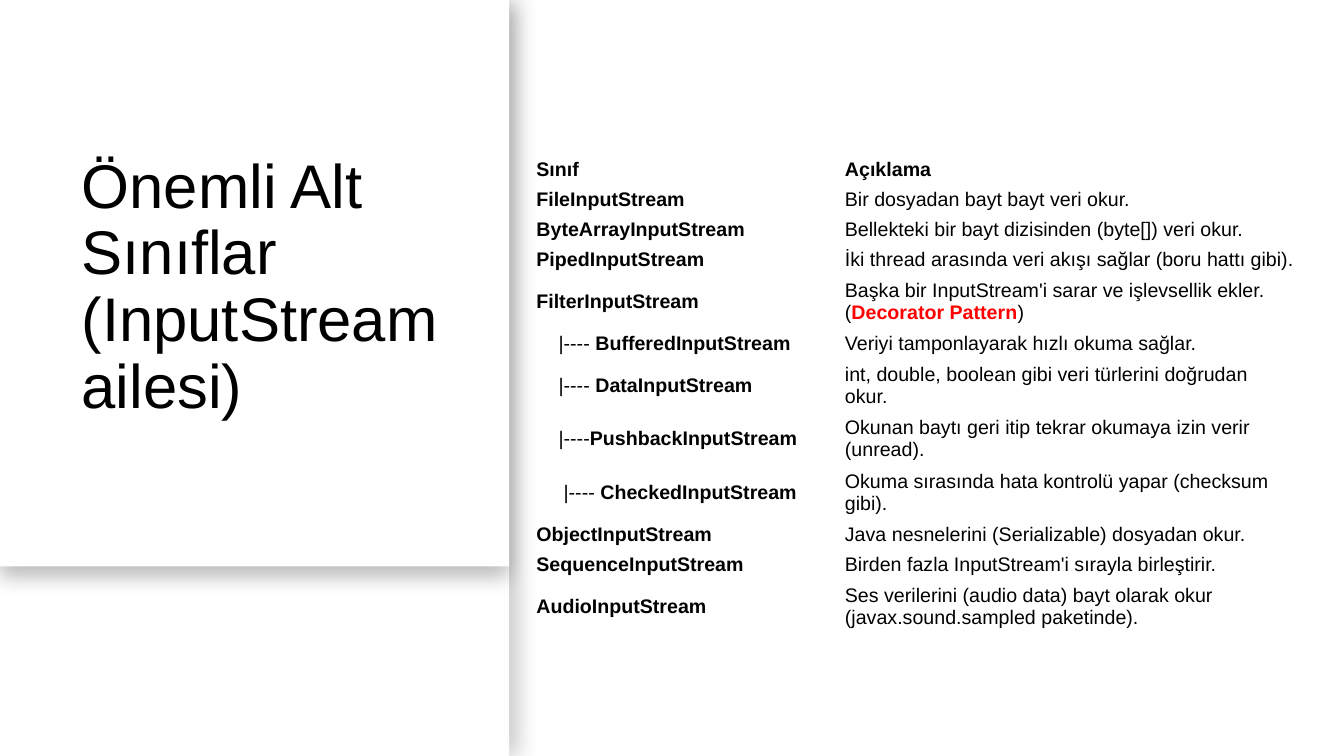
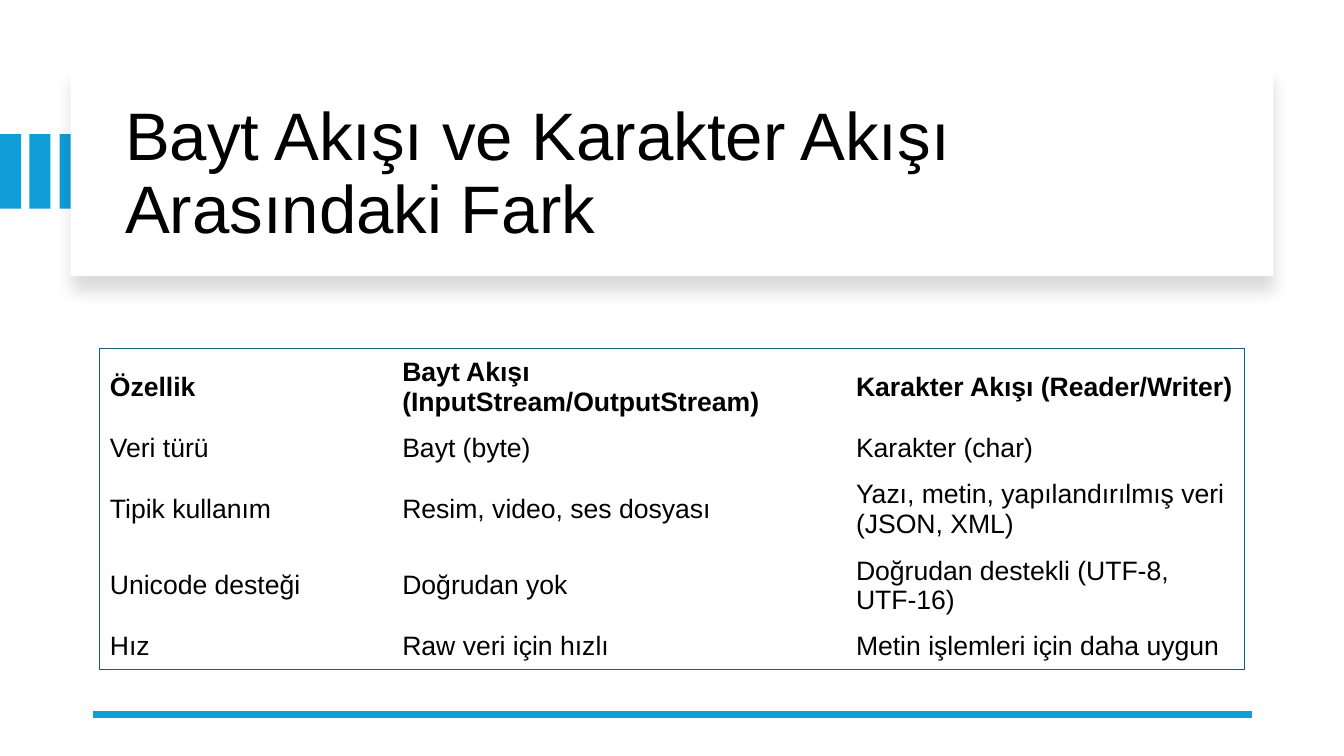
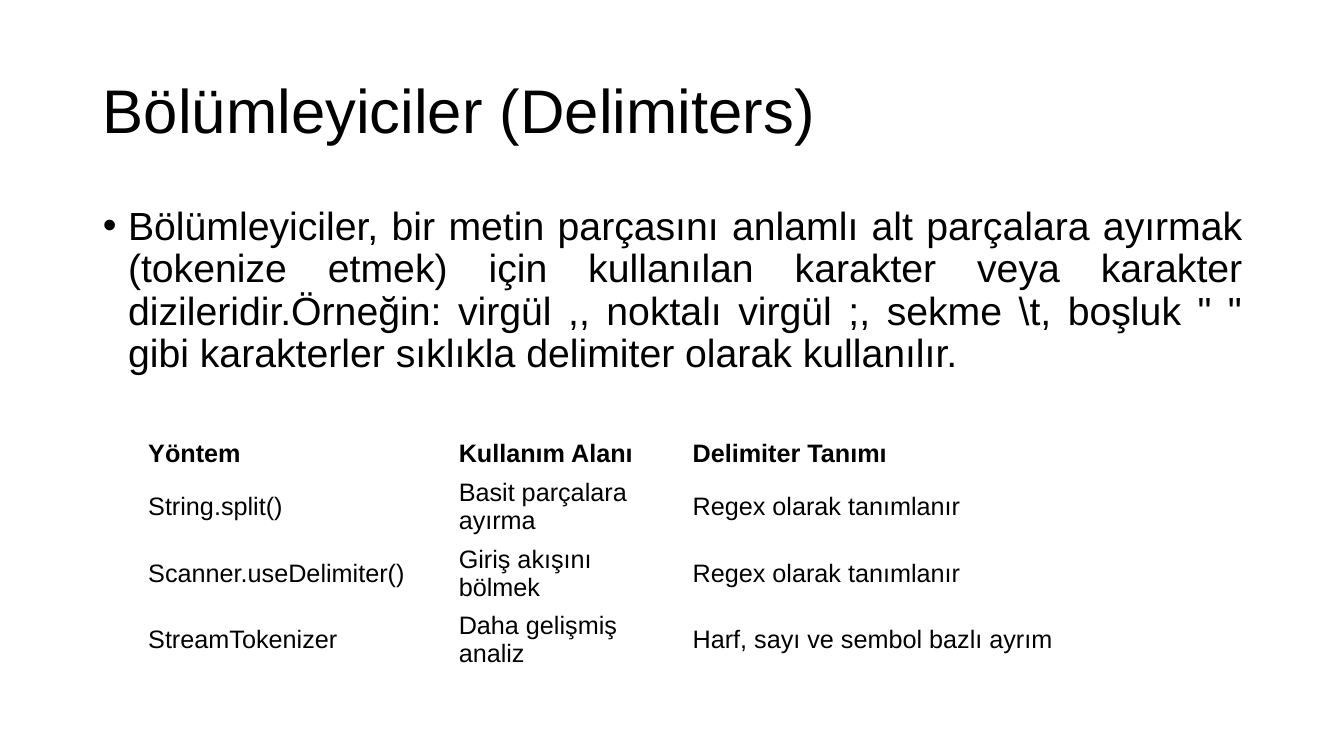
from typing import NamedTuple

from lxml.etree import SubElement
from pptx import Presentation
from pptx.dml.color import RGBColor
from pptx.enum.shapes import MSO_CONNECTOR, MSO_SHAPE
from pptx.enum.text import MSO_ANCHOR, MSO_AUTO_SIZE, PP_ALIGN
from pptx.oxml.ns import qn
from pptx.util import Pt

# Shared style
EMU_PER_PX = 9144  # 100 px to the inch
FONT = "Arial"
BLACK, WHITE, RED = "000000", "FFFFFF", "FF0000"
ACCENT, BORDER = "0F9ED5", "156082"
NO_STYLE_NO_GRID = "{2D5ABB26-0587-4C30-8999-92F81FD0307C}"
TITLE_ONLY, TITLE_AND_BODY = 5, 1


def px(length):
    return int(length * EMU_PER_PX)


def color(hex_value):
    return RGBColor.from_string(hex_value)


class Piece(NamedTuple):
    text: str
    bold: bool = False
    color: str = BLACK


class Cell(NamedTuple):
    pieces: tuple
    indent: int = 0


class Deck:
    """Holds the presentation, its style and the current slide."""

    def __init__(self):
        self.presentation = Presentation()
        self.presentation.slide_width = px(1333)
        self.presentation.slide_height = px(750)
        self.slide = None

    def new_slide(self, layout):
        layouts = self.presentation.slide_layouts
        self.slide = self.presentation.slides.add_slide(layouts[layout])
        self.slide.background.fill.solid()
        self.slide.background.fill.fore_color.rgb = color(WHITE)

    def style_run(self, run, size, bold=False, hex_value=BLACK):
        run.font.name = FONT
        run.font.size = Pt(size)
        run.font.bold = bold
        run.font.color.rgb = color(hex_value)

    def placeholder(self, shape, box, text, size, anchor, alignment):
        shape.left, shape.top, shape.width, shape.height = map(px, box)
        frame = shape.text_frame
        frame.text = text
        frame.word_wrap = True
        frame.auto_size = MSO_AUTO_SIZE.NONE
        frame.vertical_anchor = anchor
        frame.margin_left = frame.margin_right = px(10)
        frame.margin_top = frame.margin_bottom = px(5)
        paragraph = frame.paragraphs[0]
        paragraph.alignment = alignment
        paragraph.line_spacing = 0.9
        paragraph.space_before = Pt(0)
        self.style_run(paragraph.runs[0], size)
        return paragraph

    def title(self, box, text, size=44):
        self.placeholder(self.slide.shapes.title, box, text, size,
                         MSO_ANCHOR.MIDDLE, PP_ALIGN.LEFT)

    def bullet_body(self, box, text, size):
        paragraph = self.placeholder(self.slide.placeholders[1], box, text, size,
                                     MSO_ANCHOR.TOP, PP_ALIGN.JUSTIFY)
        properties = paragraph._p.get_or_add_pPr()
        properties.set("marL", str(px(25)))
        properties.set("indent", str(px(-25)))
        SubElement(properties, qn("a:buFont"), typeface=FONT)
        SubElement(properties, qn("a:buChar"), char="•")

    def rectangle(self, box, fill, shadow=None):
        """Add a plain rectangle; shadow is (opacity %, blur pt, distance pt, degrees)."""
        shape = self.slide.shapes.add_shape(MSO_SHAPE.RECTANGLE, *map(px, box))
        shape.shadow.inherit = False
        shape.fill.solid()
        shape.fill.fore_color.rgb = color(fill)
        shape.line.fill.background()
        if shadow:
            opacity, blur, distance, degrees = shadow
            effects = shape._element.spPr.find(qn("a:effectLst"))
            outer = SubElement(effects, qn("a:outerShdw"), blurRad=str(Pt(blur)),
                               dist=str(Pt(distance)), dir=str(degrees * 60000),
                               algn="t", rotWithShape="0")
            tint = SubElement(outer, qn("a:srgbClr"), val=BLACK)
            SubElement(tint, qn("a:alpha"), val=str(opacity * 1000))

    def line(self, start, end, hex_value, width):
        connector = self.slide.shapes.add_connector(
            MSO_CONNECTOR.STRAIGHT, *map(px, start + end))
        connector.line.color.rgb = color(hex_value)
        connector.line.width = Pt(width)
        SubElement(connector._element.spPr, qn("a:effectLst"))

    def cell_border(self, cell, sides):
        properties = cell._tc.get_or_add_tcPr()
        for side in sides:
            edge = SubElement(properties, qn(f"a:ln{side}"), w=str(Pt(0.75)))
            fill = SubElement(edge, qn("a:solidFill"))
            SubElement(fill, qn("a:srgbClr"), val=BORDER)

    def fill_cell(self, cell, content, size, margins):
        cell.margin_left = cell.margin_right = px(margins[0])
        cell.margin_top = cell.margin_bottom = px(margins[1])
        cell.vertical_anchor = MSO_ANCHOR.MIDDLE
        cell.fill.background()
        paragraph = cell.text_frame.paragraphs[0]
        if content.indent:
            paragraph._p.get_or_add_pPr().set("marL", str(px(content.indent)))
        for piece in content.pieces:
            run = paragraph.add_run()
            run.text = piece.text
            self.style_run(run, size, piece.bold, piece.color)

    def table(self, left, top, widths, heights, rows, size, margins=(10, 5), framed=False):
        """Add a table; plain strings are bold in the first row only."""
        table = self.slide.shapes.add_table(
            len(rows), len(widths), px(left), px(top),
            px(sum(widths)), px(sum(heights))).table
        table.first_row = table.horz_banding = False
        table._tbl.tblPr.find(qn("a:tableStyleId")).text = NO_STYLE_NO_GRID
        for column, width in zip(table.columns, widths):
            column.width = px(width)
        last_row, last_column = len(rows) - 1, len(widths) - 1
        for r, row in enumerate(rows):
            table.rows[r].height = px(heights[r])
            for c, content in enumerate(row):
                cell = table.cell(r, c)
                if framed:
                    outer = {"L": c == 0, "R": c == last_column,
                             "T": r == 0, "B": r == last_row}
                    self.cell_border(cell, [side for side, on in outer.items() if on])
                if isinstance(content, str):
                    content = Cell((Piece(content, bold=r == 0),))
                self.fill_cell(cell, content, size, margins)


def class_name(name, branch="", indent=0):
    pieces = (Piece(branch),) if branch else ()
    return Cell(pieces + (Piece(name, bold=True),), indent)


def input_stream_slide(deck):
    deck.new_slide(TITLE_ONLY)
    # Side panels
    deck.rectangle((0, 0, 505, 750), WHITE, shadow=(20, 16, 7, 359))
    deck.rectangle((0, 0, 505, 562), WHITE, shadow=(25, 14, 8, 90))
    # The title placeholder belongs in front of the panels
    title = deck.slide.shapes.title._element
    title.getparent().append(title)
    deck.title((71, 68, 381, 436), "Önemli Alt Sınıflar (InputStream ailesi)")
    # Class table
    decorator = Cell((
        Piece("Başka bir InputStream'i sarar ve işlevsellik ekler. ("),
        Piece("Decorator Pattern", bold=True, color=RED),
        Piece(")")))
    rows = [
        ("Sınıf", "Açıklama"),
        (class_name("FileInputStream"), "Bir dosyadan bayt bayt veri okur."),
        (class_name("ByteArrayInputStream"),
         "Bellekteki bir bayt dizisinden (byte[]) veri okur."),
        (class_name("PipedInputStream"),
         "İki thread arasında veri akışı sağlar (boru hattı gibi)."),
        (class_name("FilterInputStream"), decorator),
        (class_name("BufferedInputStream", "|---- ", 22),
         "Veriyi tamponlayarak hızlı okuma sağlar."),
        (class_name("DataInputStream", "|---- ", 22),
         "int, double, boolean gibi veri türlerini doğrudan okur."),
        (class_name("PushbackInputStream", "|----", 22),
         "Okunan baytı geri itip tekrar okumaya izin verir (unread)."),
        (class_name("CheckedInputStream", "|---- ", 27),
         "Okuma sırasında hata kontrolü yapar (checksum gibi)."),
        (class_name("ObjectInputStream"),
         "Java nesnelerini (Serializable) dosyadan okur."),
        (class_name("SequenceInputStream"),
         "Birden fazla InputStream'i sırayla birleştirir."),
        (class_name("AudioInputStream"),
         "Ses verilerini (audio data) bayt olarak okur (javax.sound.sampled paketinde)."),
    ]
    two_line_rows = {4, 6, 7, 8, 11}
    heights = [53 if r in two_line_rows else 30 for r in range(len(rows))]
    deck.table(524, 153, (306, 462), heights, rows, size=14, margins=(8, 4))


def stream_comparison_slide(deck):
    deck.new_slide(TITLE_ONLY)
    # Accent bars behind the title card
    for left in (0, 29, 59):
        deck.rectangle((left, 133, 21, 74), ACCENT)
    deck.rectangle((70, 67, 1193, 207), WHITE, shadow=(15, 11, 10, 90))
    title = deck.slide.shapes.title._element
    title.getparent().append(title)
    deck.title((114, 89, 1113, 170), "Bayt Akışı ve Karakter Akışı Arasındaki Fark", size=48)
    deck.line((1242, 709), (92, 709), ACCENT, 4.5)
    # Comparison table
    rows = [
        ("Özellik", "Bayt Akışı (InputStream/OutputStream)", "Karakter Akışı (Reader/Writer)"),
        ("Veri türü", "Bayt (byte)", "Karakter (char)"),
        ("Tipik kullanım", "Resim, video, ses dosyası",
         "Yazı, metin, yapılandırılmış veri (JSON, XML)"),
        ("Unicode desteği", "Doğrudan yok", "Doğrudan destekli (UTF-8, UTF-16)"),
        ("Hız", "Raw veri için hızlı", "Metin işlemleri için daha uygun"),
    ]
    deck.table(99, 346, (290, 450, 395), (76, 45, 76, 76, 45), rows, size=19, framed=True)


def delimiters_slide(deck):
    deck.new_slide(TITLE_AND_BODY)
    deck.title((92, 40, 1150, 145), "Bölümleyiciler (Delimiters)")
    deck.bullet_body(
        (92, 200, 1150, 476),
        "Bölümleyiciler, bir metin parçasını anlamlı alt parçalara ayırmak (tokenize etmek) "
        "için kullanılan karakter veya karakter dizileridir.Örneğin: virgül ,, noktalı virgül ;, "
        "sekme \\t, boşluk \" \" gibi karakterler sıklıkla delimiter olarak kullanılır.",
        size=28)
    # Method table
    rows = [
        ("Yöntem", "Kullanım Alanı", "Delimiter Tanımı"),
        ("String.split()", "Basit parçalara ayırma", "Regex olarak tanımlanır"),
        ("Scanner.useDelimiter()", "Giriş akışını bölmek", "Regex olarak tanımlanır"),
        ("StreamTokenizer", "Daha gelişmiş analiz", "Harf, sayı ve sembol bazlı ayrım"),
    ]
    deck.table(137, 431, (308, 232, 460), (39, 66, 66, 66), rows, size=18)


def main():
    deck = Deck()
    input_stream_slide(deck)
    stream_comparison_slide(deck)
    delimiters_slide(deck)
    deck.presentation.save("out.pptx")


if __name__ == "__main__":
    main()
